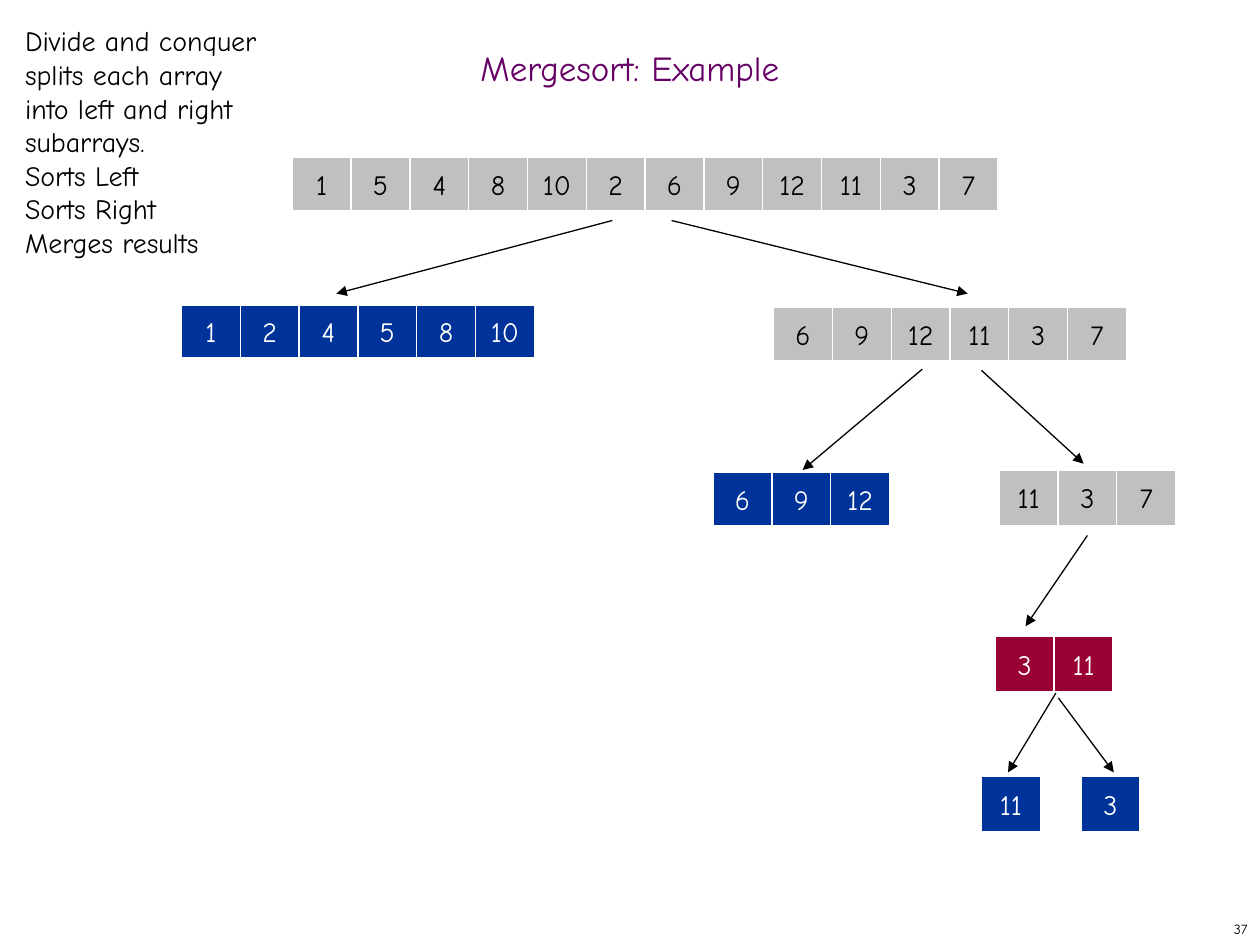
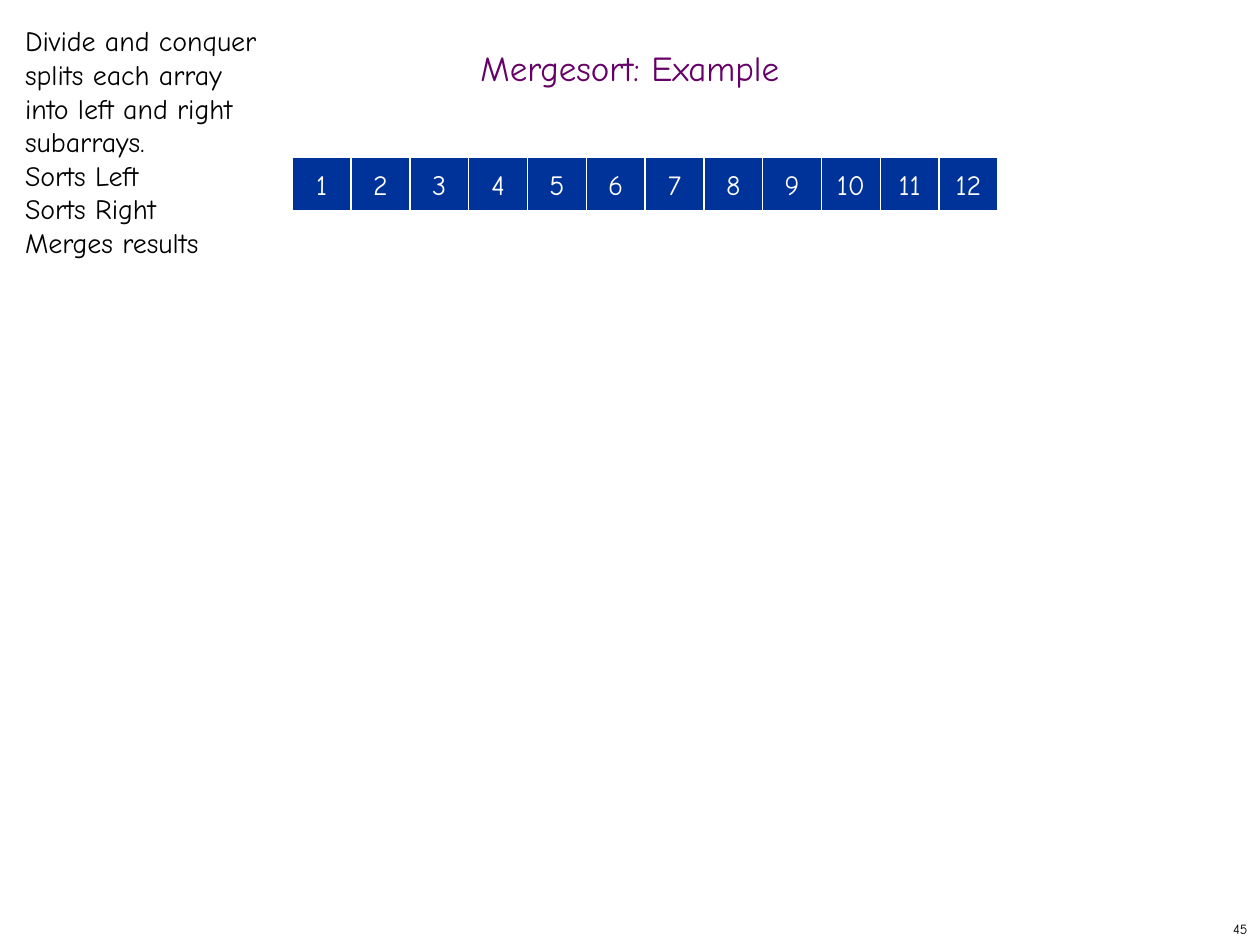
from dataclasses import dataclass

from lxml.etree import SubElement
from pptx import Presentation
from pptx.dml.color import RGBColor
from pptx.enum.shapes import MSO_CONNECTOR, MSO_SHAPE
from pptx.enum.text import MSO_ANCHOR, MSO_AUTO_SIZE, PP_ALIGN
from pptx.oxml.ns import qn
from pptx.util import Inches, Pt


@dataclass(frozen=True)
class Theme:
    font: str = "Comic Neue"
    title_color: str = "660066"
    ink: str = "000000"
    paper: str = "FFFFFF"
    unsorted: str = "C0C0C0"
    sorted: str = "003399"
    merging: str = "990033"
    title_size: int = 20
    body_size: int = 16
    number_size: int = 8
    line_width: float = 0.75


@dataclass(frozen=True)
class Box:
    left: float
    top: float
    width: float
    height: float

    def inside(self, left, top, width, height):
        return Box(self.left + left, self.top + top, width, height)

    def lengths(self):
        return [Inches(n) for n in (self.left, self.top, self.width, self.height)]


THEME = Theme()
PAGE = Box(0, 0, 10, 7.5)
TITLE = PAGE.inside(0, 0.33, 10, 0.5)
NOTE = PAGE.inside(0.1, 0.14, 2.15, 1.99)
NUMBER = PAGE.inside(7.92, 7.25, 2.08, 0.25)
TREE = PAGE.inside(1.44, 1.25, 7.9, 5.35)

ROOT_WIDTH = 5.6
CELL_WIDTH = ROOT_WIDTH / 12
ROOT_LEFT, ROOT_TOP = 0.88, 0
LOW_CELL, HIGH_CELL = 0.42, 0.44

NOTE_LINES = [
    "Divide and conquer splits each array into left and right subarrays.",
    "Sorts Left",
    "Sorts Right",
    "Merges results",
]

SPLIT_ROWS = [
    ((1, 5, 4, 8, 10, 2, 6, 9, 12, 11, 3, 7), ROOT_LEFT, ROOT_TOP, LOW_CELL, THEME.unsorted),
    ((1, 2, 4, 5, 8, 10), 0, 1.17, LOW_CELL, THEME.sorted),
    ((6, 9, 12, 11, 3, 7), 4.7, 1.19, LOW_CELL, THEME.unsorted),
    ((6, 9, 12), 4.22, 2.5, LOW_CELL, THEME.sorted),
    ((11, 3, 7), 6.49, 2.48, HIGH_CELL, THEME.unsorted),
    ((3, 11), 6.46, 3.8, HIGH_CELL, THEME.merging),
    ((11,), 6.35, 4.91, HIGH_CELL, THEME.sorted),
    ((3,), 7.14, 4.91, HIGH_CELL, THEME.sorted),
]
SPLIT_ARROWS = [
    ((3.42, 0.5), (1.23, 1.08)),
    ((3.89, 0.5), (6.24, 1.08)),
    ((5.88, 1.68), (4.93, 2.48)),
    ((6.35, 1.69), (7.16, 2.43)),
    ((7.19, 3), (6.7, 3.72)),
    ((6.94, 4.25), (6.56, 4.88)),
    ((6.96, 4.29), (7.4, 4.88)),
]
SORTED_ROWS = [(range(1, 13), ROOT_LEFT, ROOT_TOP, LOW_CELL, THEME.sorted)]


def write_text(shape, lines, size=THEME.body_size, color=THEME.ink,
               align=PP_ALIGN.LEFT, anchor=MSO_ANCHOR.MIDDLE, wrap=False, spacing=None):
    frame = shape.text_frame
    frame.word_wrap = wrap
    frame.vertical_anchor = anchor
    frame.text = "\n".join(lines)
    for paragraph in frame.paragraphs:
        paragraph.alignment = align
        paragraph.line_spacing = spacing
        for run in paragraph.runs:
            run.font.name = THEME.font
            run.font.size = Pt(size)
            run.font.color.rgb = RGBColor.from_string(color)


def add_text(slide, box, lines, **text_format):
    shape = slide.shapes.add_textbox(*box.lengths())
    write_text(shape, lines, **text_format)
    return shape


def add_cell(slide, box, value, fill):
    shape = slide.shapes.add_shape(MSO_SHAPE.RECTANGLE, *box.lengths())
    shape.shadow.inherit = False
    shape.fill.solid()
    shape.fill.fore_color.rgb = RGBColor.from_string(fill)
    shape.line.color.rgb = RGBColor.from_string(THEME.paper)
    shape.line.width = Pt(THEME.line_width)
    color = THEME.ink if fill == THEME.unsorted else THEME.paper
    write_text(shape, [str(value)], color=color, align=PP_ALIGN.CENTER)


def add_array(slide, box, values, fill):
    width = box.width / len(values)
    for index, value in enumerate(values):
        add_cell(slide, box.inside(index * width, 0, width, box.height), value, fill)


def add_arrow(slide, box, start, end):
    points = [Inches(origin + offset)
              for point in (start, end)
              for origin, offset in zip((box.left, box.top), point)]
    connector = slide.shapes.add_connector(MSO_CONNECTOR.STRAIGHT, *points)
    connector.line.color.rgb = RGBColor.from_string(THEME.ink)
    connector.line.width = Pt(THEME.line_width)
    properties = connector._element.spPr
    SubElement(properties.find(qn("a:ln")), qn("a:tailEnd"), type="triangle")
    SubElement(properties, qn("a:effectLst"))


def add_tree(slide, box, rows, arrows):
    for values, left, top, height, fill in rows:
        row = box.inside(left, top, len(values) * CELL_WIDTH, height)
        add_array(slide, row, values, fill)
    for start, end in arrows:
        add_arrow(slide, box, start, end)


def add_example_slide(presentation, number, rows, arrows=()):
    slide = presentation.slides.add_slide(presentation.slide_layouts[6])
    add_text(slide, NUMBER, [str(number)], size=THEME.number_size, align=PP_ALIGN.RIGHT)
    add_text(slide, TITLE, ["Mergesort: Example"], size=THEME.title_size,
             color=THEME.title_color, align=PP_ALIGN.CENTER, wrap=True, spacing=0.7)
    add_tree(slide, TREE, rows, arrows)
    note = add_text(slide, NOTE, NOTE_LINES, anchor=MSO_ANCHOR.TOP, wrap=True)
    note.text_frame.auto_size = MSO_AUTO_SIZE.SHAPE_TO_FIT_TEXT


presentation = Presentation()
presentation.slide_width = Inches(PAGE.width)
presentation.slide_height = Inches(PAGE.height)
add_example_slide(presentation, 37, SPLIT_ROWS, SPLIT_ARROWS)
add_example_slide(presentation, 45, SORTED_ROWS)
presentation.save("out.pptx")
